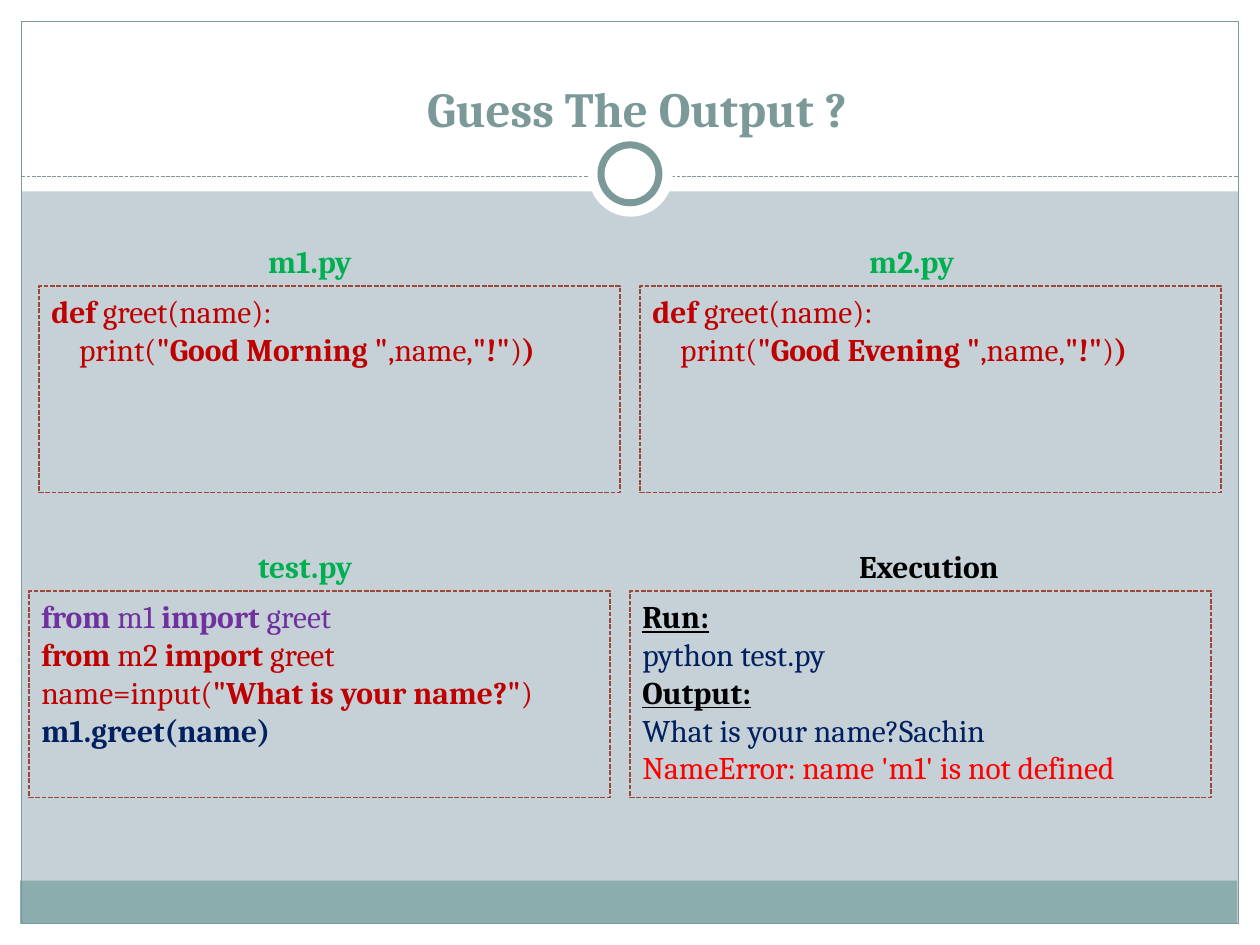
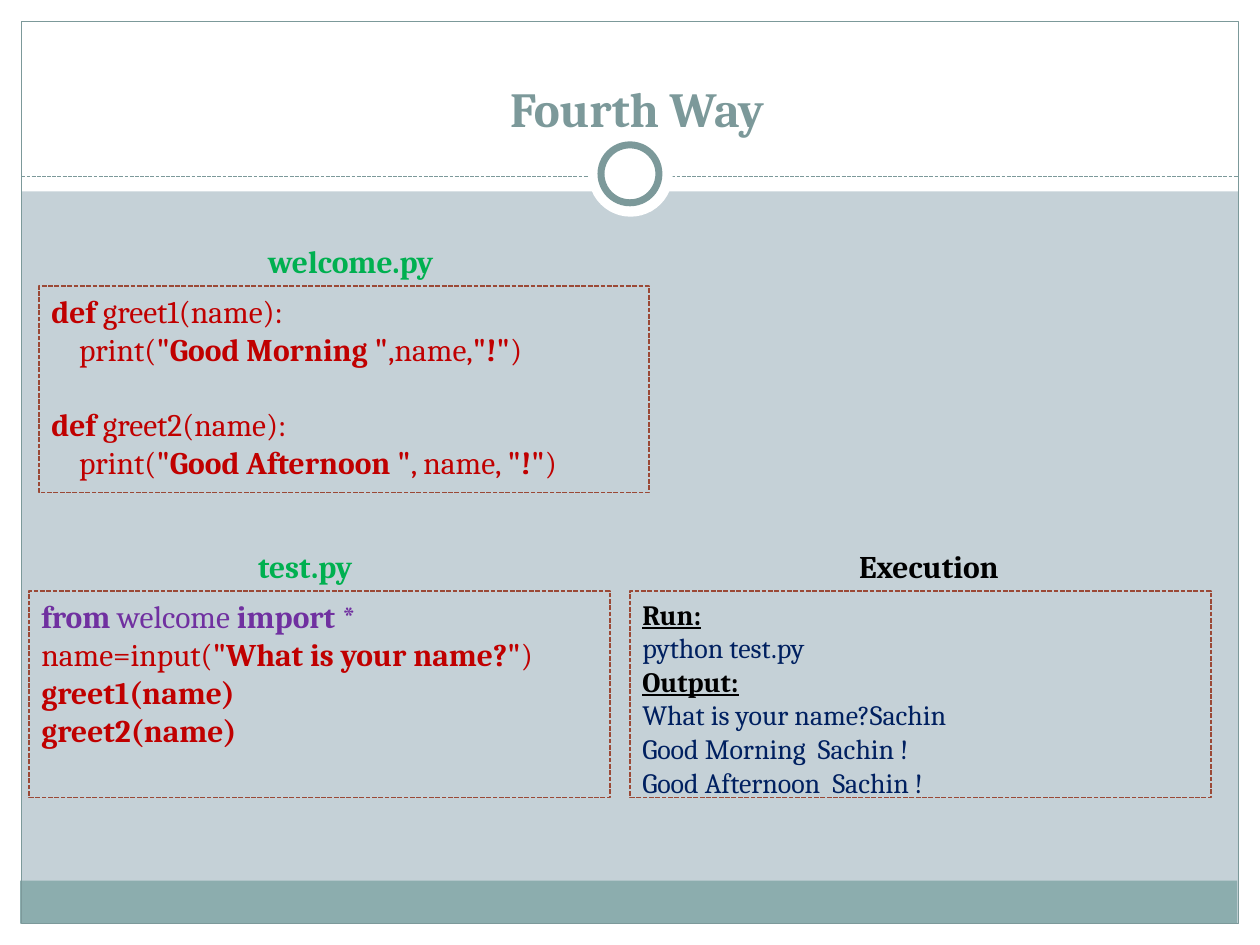
from dataclasses import dataclass

from pptx import Presentation
from pptx.dml.color import RGBColor
from pptx.enum.dml import MSO_LINE
from pptx.enum.shapes import MSO_CONNECTOR, MSO_SHAPE
from pptx.enum.text import MSO_ANCHOR, MSO_AUTO_SIZE, PP_ALIGN
from pptx.oxml.ns import qn
from pptx.util import Pt

RECT, OVAL = MSO_SHAPE.RECTANGLE, MSO_SHAPE.OVAL
STRAIGHT = MSO_CONNECTOR.STRAIGHT
SYS_DASH = MSO_LINE.SQUARE_DOT
CENTER = PP_ALIGN.CENTER
BOTTOM = MSO_ANCHOR.BOTTOM
FIT_SHAPE, NO_FIT = MSO_AUTO_SIZE.SHAPE_TO_FIT_TEXT, MSO_AUTO_SIZE.NONE

EMU_PER_PX = 9144  # 100 px to the inch
WIDTH, HEIGHT = 1000, 750
FONT = "Cambria"
TITLE_ONLY = 5

WHITE, BLACK = "FFFFFF", "000000"
BACKDROP, TEAL, FOOTER = "C5D1D7", "7C999A", "8CADAE"
PANEL_EDGE = "9B4936"
CODE, IMPORT, RESULT, ERROR, FILE = "C00000", "7030A0", "002060", "FF0000", "00B050"

PANEL_H = 164
HEADING_DX, HEADING_DY = 172, -40
TOP_ROW, BOTTOM_ROW = 227, 469


@dataclass(frozen=True)
class Band:
    left: int
    top: int
    width: int
    height: int
    kind: int = RECT
    fill: str | None = None
    line: str | None = None
    weight: float = 0.75


@dataclass(frozen=True)
class Line:
    """One line of text; "|" switches between regular and bold."""
    text: str
    color: str = CODE
    underline: bool = False
    gap: float = 0


@dataclass(frozen=True)
class Panel:
    left: int
    top: int
    heading: str
    heading_w: int
    lines: tuple[Line, ...]
    width: int = 461
    text_w: int = 462
    heading_color: str = FILE
    size: int = 18
    wrap: bool = False


FRAME = (
    Band(0, 733, WIDTH, 17, fill=WHITE),
    Band(0, 0, WIDTH, 152, fill=WHITE),
    Band(0, 0, 17, HEIGHT, fill=WHITE),
    Band(983, 0, 17, HEIGHT, fill=WHITE),
    Band(16, 699, 966, 34, fill=FOOTER),
    Band(17, 17, 966, 716, line=TEAL),
)
RING = (
    Band(467, 105, 67, 67, OVAL, fill=WHITE),
    Band(477, 115, 46, 46, OVAL, fill=WHITE, line=TEAL, weight=4),
)


def px(n: int) -> int:
    return n * EMU_PER_PX


def rgb(color: str) -> RGBColor:
    return RGBColor.from_string(color)


def add_band(s, b: Band):
    sp = s.shapes.add_shape(b.kind, px(b.left), px(b.top), px(b.width), px(b.height))
    sp.shadow.inherit = False
    if b.fill:
        sp.fill.solid()
        sp.fill.fore_color.rgb = rgb(b.fill)
    else:
        sp.fill.background()
    if b.line:
        sp.line.color.rgb = rgb(b.line)
        sp.line.width = Pt(b.weight)
    else:
        sp.line.fill.background()
    return sp


def add_run(p, text: str, *, color: str, size: int = 18, bold: bool = False,
            underline: bool = False) -> None:
    r = p.add_run()
    r.text = text
    r.font.name = FONT
    r.font.size = Pt(size)
    r.font.bold = bold
    r.font.underline = underline
    r.font.color.rgb = rgb(color)


def add_lines(s, left: int, top: int, width: int, lines: tuple[Line, ...], *,
              size: int = 18, wrap: bool = False) -> None:
    height = 10 + len(lines) * round(size * 5 / 3)
    tf = s.shapes.add_textbox(px(left), px(top), px(width), px(height)).text_frame
    tf.word_wrap = wrap
    tf.auto_size = FIT_SHAPE
    for i, line in enumerate(lines):
        p = tf.add_paragraph() if i else tf.paragraphs[0]
        if line.gap:
            p.space_before = Pt(line.gap)
        for j, part in enumerate(line.text.split("|")):
            if part:
                add_run(p, part, color=line.color, size=size, bold=j % 2 == 1,
                        underline=line.underline)


def add_panel(s, panel: Panel) -> None:
    box = add_band(s, Band(panel.left, panel.top, panel.width, PANEL_H,
                           line=PANEL_EDGE, weight=0.9))
    box.line.dash_style = SYS_DASH
    add_lines(s, panel.left, panel.top, panel.text_w, panel.lines,
              size=panel.size, wrap=panel.wrap)
    add_lines(s, panel.left + HEADING_DX, panel.top + HEADING_DY, panel.heading_w,
              (Line("|" + panel.heading, panel.heading_color),))


def add_divider(s) -> None:
    cx = s.shapes.add_connector(STRAIGHT, px(17), px(140), px(983), px(140))
    cx.line.color.rgb = rgb(TEAL)
    cx.line.width = Pt(0.75)
    cx.line.dash_style = SYS_DASH
    sp_pr = cx.element.spPr
    sp_pr.append(sp_pr.makeelement(qn("a:effectLst"), {}))


def add_title(s, text: str) -> None:
    sp = s.shapes.title
    sp.element.getparent().append(sp.element)  # in front of the frame
    sp.left, sp.top, sp.width, sp.height = px(39), px(31), px(933), px(83)
    tf = sp.text_frame
    tf.word_wrap = True
    tf.auto_size = NO_FIT
    tf.vertical_anchor = BOTTOM
    p = tf.paragraphs[0]
    p.alignment = CENTER
    add_run(p, text, color=TEAL, size=28, bold=True)


def add_slide(prs, title: str, panels: tuple[Panel, ...]) -> None:
    s = prs.slides.add_slide(prs.slide_layouts[TITLE_ONLY])
    s.background.fill.solid()
    s.background.fill.fore_color.rgb = rgb(BACKDROP)
    for band in FRAME:
        add_band(s, band)
    add_divider(s)
    for band in RING:
        add_band(s, band)
    add_title(s, title)
    for panel in panels:
        add_panel(s, panel)


def module_panel(left: int, name: str, greeting: str, heading_w: int, text_w: int) -> Panel:
    lines = (Line("|def |greet(name):"),
             Line(f'    print(|"Good {greeting} "|,name,|"!"|)|)'))
    return Panel(left, TOP_ROW, name, heading_w, lines, text_w=text_w)


def script_panel(*lines: Line) -> Panel:
    return Panel(23, BOTTOM_ROW, "test.py", 107, lines)


def execution_panel(*results: Line, text_w: int, size: int = 18, wrap: bool = False) -> Panel:
    lines = (Line("|Run:", BLACK, underline=True),
             Line("python test.py", RESULT),
             Line("|Output:", BLACK, underline=True),
             Line("What is your name?Sachin", RESULT)) + results
    return Panel(500, BOTTOM_ROW, "Execution", 151, lines, text_w=text_w,
                 heading_color=BLACK, size=size, wrap=wrap)


ASK_NAME = Line('name=input(|"What is your name?"|)')

GUESS_PANELS = (
    module_panel(31, "m1.py", "Morning", 97, 463),
    module_panel(508, "m2.py", "Evening", 101, 455),
    script_panel(Line("|from |m1 |import |greet", IMPORT),
                 Line("|from |m2 |import |greet"),
                 ASK_NAME,
                 Line("|m1.greet(name)", RESULT)),
    execution_panel(Line("NameError: name 'm1' is not defined", ERROR), text_w=433),
)

FOURTH_WAY_PANELS = (
    Panel(31, TOP_ROW, "welcome.py", 174, (
        Line("|def |greet1(name):"),
        Line('    print(|"Good Morning "|,name,|"!"|)'),
        Line("|def |greet2(name):", gap=21.5),
        Line('    print(|"Good Afternoon "|, name, |"!"|)'),
    ), width=484, text_w=484),
    script_panel(Line("|from |welcome |import |*", IMPORT),
                 ASK_NAME,
                 Line("|greet1(name)"),
                 Line("|greet2(name)")),
    execution_panel(Line("Good Morning  Sachin !", RESULT),
                    Line("Good Afternoon  Sachin !", RESULT),
                    text_w=500, size=16, wrap=True),
)


def main() -> None:
    prs = Presentation()
    prs.slide_width, prs.slide_height = px(WIDTH), px(HEIGHT)
    add_slide(prs, "Guess The Output ?", GUESS_PANELS)
    add_slide(prs, "Fourth Way", FOURTH_WAY_PANELS)
    prs.save("out.pptx")


if __name__ == "__main__":
    main()
